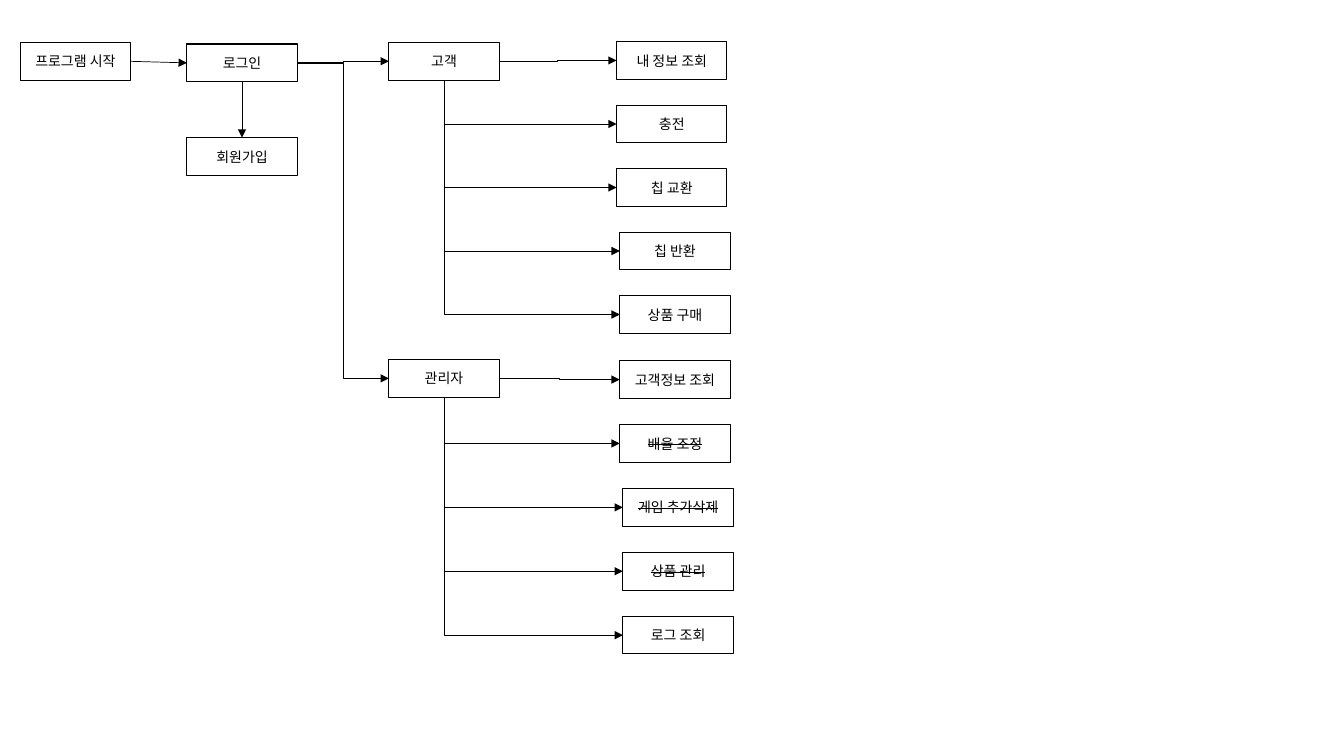
import pptx
import pptx.dml.color
import pptx.enum.shapes
import pptx.enum.text
import pptx.oxml
import pptx.oxml.ns
import pptx.util
import lxml.etree

Cm = pptx.util.Cm
Pt = pptx.util.Pt
qn = pptx.oxml.ns.qn
MSO_CONNECTOR = pptx.enum.shapes.MSO_CONNECTOR

BLACK = pptx.dml.color.RGBColor(0, 0, 0)
FONT = "Noto Sans CJK KR"
BOX_W, BOX_H = Cm(2.78), Cm(0.95)
TOP, LEFT, BOTTOM, RIGHT = 0, 1, 2, 3

# (label, shift right in cm, struck through)
CUSTOMER_ITEMS = [
    ("내 정보 조회", 0, False),
    ("충전", 0, False),
    ("칩 교환", 0, False),
    ("칩 반환", 0.08, False),
    ("상품 구매", 0.08, False),
]
ADMIN_ITEMS = [
    ("고객정보 조회", 0.08, False),
    ("배율 조정", 0.08, True),
    ("게임 추가삭제", 0.16, True),
    ("상품 관리", 0.16, True),
    ("로그 조회", 0.16, False),
]


def add_box(s, x, y, label, struck=False):
    sp = s.shapes.add_shape(pptx.enum.shapes.MSO_SHAPE.RECTANGLE, x, y, BOX_W, BOX_H)
    sp.shadow.inherit = False
    sp.fill.background()
    sp.line.color.rgb = BLACK
    sp.line.width = Pt(0.75)
    tf = sp.text_frame
    tf.vertical_anchor = pptx.enum.text.MSO_ANCHOR.MIDDLE
    p = tf.paragraphs[0]
    p.alignment = pptx.enum.text.PP_ALIGN.CENTER
    r = p.add_run()
    r.text = label
    r.font.size = Pt(10)
    r.font.color.rgb = BLACK
    r.font.name = FONT
    rPr = r.font._element
    lxml.etree.SubElement(rPr, qn("a:ea")).set("typeface", FONT)
    if struck:
        rPr.set("strike", "sngStrike")
    return sp


def add_arrow(s, kind, start, start_side, end, end_side):
    cxn = s.shapes.add_connector(kind, start.left, start.top, end.left, end.top)
    cxn.begin_connect(start, start_side)
    cxn.end_connect(end, end_side)
    cxn.line.color.rgb = BLACK
    cxn.line.width = Pt(0.5)
    ln = cxn.line._get_or_add_ln()
    lxml.etree.SubElement(ln, qn("a:tailEnd")).set("type", "triangle")
    lxml.etree.SubElement(cxn._element.spPr, qn("a:effectLst"))
    return cxn


def add_corner_arrow(s, start, end):
    """Arrow that drops from the bottom of start, then turns right into end."""
    cxn = add_arrow(s, MSO_CONNECTOR.ELBOW, start, BOTTOM, end, LEFT)
    x, y, dx, dy = cxn.left, cxn.top, cxn.width, cxn.height
    # A quarter turn swaps width and height around the same centre
    cxn.left, cxn.top = x + (dx - dy) // 2, y + (dy - dx) // 2
    cxn.width, cxn.height = dy, dx
    xfrm = cxn._element.spPr.find(qn("a:xfrm"))
    xfrm.set("rot", "16200000")
    xfrm.set("flipH", "1")
    cxn._element.spPr.find(qn("a:prstGeom")).set("prst", "bentConnector2")


def add_entry(s, x, y):
    """Program start, login and sign-up; returns the login box."""
    start = add_box(s, x, y, "프로그램 시작")
    login = add_box(s, x + Cm(4.2), y + Cm(0.04), "로그인")
    signup = add_box(s, login.left, y + Cm(2.4), "회원가입")
    add_arrow(s, MSO_CONNECTOR.STRAIGHT, start, RIGHT, login, LEFT)
    add_arrow(s, MSO_CONNECTOR.STRAIGHT, login, BOTTOM, signup, TOP)
    return login


def add_role(s, x, y, login, role_label, items, first_y, pitch):
    """A role box with its menu column on the right."""
    role = add_box(s, x, y, role_label)
    add_arrow(s, MSO_CONNECTOR.ELBOW, login, RIGHT, role, LEFT)
    for i, (label, shift, struck) in enumerate(items):
        item = add_box(s, x + Cm(5.74 + shift), y + first_y + i * pitch, label, struck)
        if i == 0:
            add_arrow(s, MSO_CONNECTOR.ELBOW, role, RIGHT, item, LEFT)
        else:
            add_corner_arrow(s, role, item)


def main():
    prs = pptx.Presentation()
    prs.slide_width, prs.slide_height = Cm(33.87), Cm(19.05)
    s = prs.slides.add_slide(prs.slide_layouts[6])

    # Entry flow
    login = add_entry(s, Cm(0.51), Cm(1.07))

    # Customer and administrator menus
    add_role(s, Cm(9.8), Cm(1.07), login, "고객", CUSTOMER_ITEMS, Cm(-0.02), Cm(1.6))
    add_role(s, Cm(9.8), Cm(9.06), login, "관리자", ADMIN_ITEMS, Cm(0.03), Cm(1.61))

    prs.save("out.pptx")


if __name__ == "__main__":
    main()
